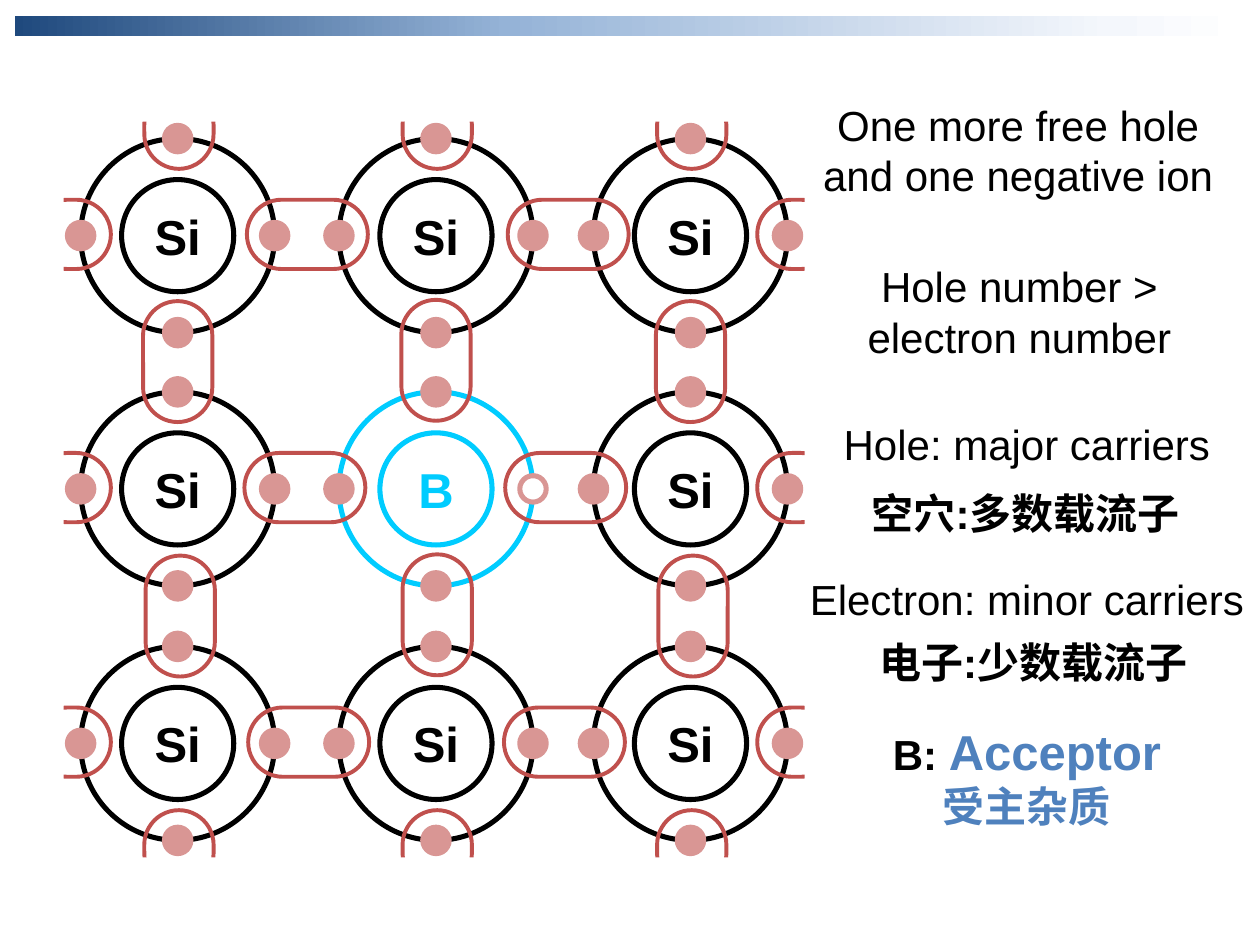
from copy import deepcopy

from pptx import Presentation
from pptx.dml.color import RGBColor
from pptx.enum.shapes import MSO_SHAPE
from pptx.enum.text import MSO_ANCHOR, MSO_AUTO_SIZE, PP_ALIGN
from pptx.oxml.ns import qn
from pptx.util import Inches, Pt

OVAL = MSO_SHAPE.OVAL
PILL = MSO_SHAPE.ROUNDED_RECTANGLE
RECT = MSO_SHAPE.RECTANGLE
CENTER = PP_ALIGN.CENTER
MIDDLE = MSO_ANCHOR.MIDDLE
GROW = MSO_AUTO_SIZE.SHAPE_TO_FIT_TEXT

BLACK = RGBColor(0x00, 0x00, 0x00)
WHITE = RGBColor(0xFF, 0xFF, 0xFF)
CYAN = RGBColor(0x00, 0xCC, 0xFF)
PINK = RGBColor(0xD9, 0x96, 0x94)
RED = RGBColor(0xC0, 0x50, 0x4D)
BLUE = RGBColor(0x4F, 0x81, 0xBD)
BAR_STOPS = [
    (0, RGBColor(0x1F, 0x49, 0x7D)),
    (0.4, RGBColor(0x95, 0xB3, 0xD7)),
    (0.89, RGBColor(0xF4, 0xF7, 0xFC)),
    (1, WHITE),
]

COLUMNS = (1.41, 3.46, 5.48)
ROWS = (1.87, 3.88, 5.9)
SHELL, CORE, ELECTRON = 1.54, 0.89, 0.21
BOND_LENGTH, STUB_LENGTH, BOND_WIDTH = 0.96, 0.62, 0.55
MASK_LENGTH, MASK_WIDTH = 0.55, 0.64
STUB_REACH, MASK_REACH = 0.84, 1.18
TOP, LEFT, BOTTOM, RIGHT = (0, -1), (-1, 0), (0, 1), (1, 0)

ACROSS_BONDS = [(2.44, 4.51), (2.42, 4.49), (2.45, 4.48)]
DOWN_BONDS = [
    ((1.41, 2.87), (3.46, 2.86), (5.48, 2.87)),
    ((1.43, 4.89), (3.47, 4.88), (5.5, 4.89)),
]

NOTES = [
    (6.24, 0.74, 3.68, 0.91, False, "One more free hole and one negative ion"),
    (6.47, 2.02, 3.24, 0.91, False, "Hole number > electron number"),
    (6.25, 3.27, 3.8, 0.5, False, "Hole: major carriers"),
    (6.52, 3.82, 3.24, 0.5, True, "空穴:多数载流子"),
    (6.25, 4.5, 3.8, 0.5, False, "Electron: minor carriers"),
    (6.58, 5, 3.24, 0.5, True, "电子:少数载流子"),
]


def add_centered(shapes, kind, x, y, width, height, fill=None, line=None, weight=2.88):
    part = shapes.add_shape(
        kind, Inches(x - width / 2), Inches(y - height / 2), Inches(width), Inches(height)
    )
    part.shadow.inherit = False
    if fill is None:
        part.fill.background()
    else:
        part.fill.solid()
        part.fill.fore_color.rgb = fill
    if line is None:
        part.line.fill.background()
    else:
        part.line.color.rgb = line
        part.line.width = Pt(weight)
    return part


def add_atom(shapes, x, y, symbol, color, hole_side=None):
    add_centered(shapes, OVAL, x, y, SHELL, SHELL, line=color)
    core = add_centered(shapes, OVAL, x, y, CORE, CORE, line=color)
    frame = core.text_frame
    frame.word_wrap = False
    frame.vertical_anchor = MIDDLE
    label = frame.paragraphs[0]
    label.text = symbol
    label.alignment = CENTER
    style_font(label.font, 28, color, True)
    for side in (TOP, LEFT, BOTTOM, RIGHT):
        fill = WHITE if side == hole_side else PINK
        add_centered(
            shapes, OVAL, x + side[0] * SHELL / 2, y + side[1] * SHELL / 2,
            ELECTRON, ELECTRON, fill, PINK,
        )


def add_bond(shapes, x, y, length, rotation=0):
    bond = add_centered(shapes, PILL, x, y, length, BOND_WIDTH, line=RED, weight=2.25)
    bond.adjustments[0] = 0.5
    bond.rotation = rotation


def add_open_bond(shapes, x, y, side):
    dx, dy = side
    rotation = 90 if dy else 0
    add_bond(shapes, x + dx * STUB_REACH, y + dy * STUB_REACH, STUB_LENGTH, rotation)
    mask = add_centered(
        shapes, RECT, x + dx * MASK_REACH, y + dy * MASK_REACH,
        MASK_LENGTH, MASK_WIDTH, WHITE,
    )
    mask.rotation = rotation


def add_lattice(slide):
    atoms = slide.shapes.add_group_shape().shapes
    for row, y in enumerate(ROWS):
        for column, x in enumerate(COLUMNS):
            if row == column == 1:
                add_atom(atoms, x, y, "B", CYAN, RIGHT)
            else:
                add_atom(atoms, x, y, "Si", BLACK)

    bonds = slide.shapes.add_group_shape().shapes
    for y, centers in zip(ROWS, ACROSS_BONDS):
        for x in centers:
            add_bond(bonds, x, y - 0.01, BOND_LENGTH)
    for centers in DOWN_BONDS:
        for x, y in centers:
            add_bond(bonds, x, y, BOND_LENGTH, 90)
    for y in ROWS:
        add_open_bond(bonds, COLUMNS[0], y - 0.01, LEFT)
        add_open_bond(bonds, COLUMNS[-1], y - 0.01, RIGHT)
    for x in COLUMNS:
        add_open_bond(bonds, x + 0.01, ROWS[0], TOP)
        add_open_bond(bonds, x + 0.01, ROWS[-1], BOTTOM)


def add_title_bar(slide, left, top, width, height):
    bar = slide.shapes.add_shape(RECT, Inches(left), Inches(top), Inches(width), Inches(height))
    bar.shadow.inherit = False
    bar.line.fill.background()
    bar.fill.gradient()
    bar.fill.gradient_angle = 0
    stop_list = bar._element.spPr.find(".//" + qn("a:gsLst"))
    for _ in range(len(BAR_STOPS) - len(stop_list)):
        stop_list.append(deepcopy(stop_list[0]))
    for stop, (position, color) in zip(bar.fill.gradient_stops, BAR_STOPS):
        stop.position = position
        stop.color.rgb = color


def style_font(font, size, color, bold):
    font.name = "Arial"
    font.size = Pt(size)
    font.color.rgb = color
    font.bold = bold


def add_note_paragraph(slide, left, top, width, height):
    note = slide.shapes.add_textbox(Inches(left), Inches(top), Inches(width), Inches(height))
    note.text_frame.word_wrap = True
    note.text_frame.auto_size = GROW
    paragraph = note.text_frame.paragraphs[0]
    paragraph.alignment = CENTER
    return paragraph


def add_notes(slide):
    for left, top, width, height, bold, text in NOTES:
        paragraph = add_note_paragraph(slide, left, top, width, height)
        paragraph.text = text
        style_font(paragraph.font, 24, BLACK, bold)


def add_acceptor_note(slide, left, top, width, height):
    paragraph = add_note_paragraph(slide, left, top, width, height)
    for text, size, color in (("B: ", 24, BLACK), ("Acceptor", 28, BLUE), ("受主杂质", 24, BLUE)):
        run = paragraph.add_run()
        run.text = text
        style_font(run.font, size, color, True)


def main():
    presentation = Presentation()
    presentation.slide_width = Inches(10)
    presentation.slide_height = Inches(7.5)
    slide = presentation.slides.add_slide(presentation.slide_layouts[6])
    add_lattice(slide)
    add_title_bar(slide, 0.12, 0.13, 9.76, 0.16)
    add_notes(slide)
    add_acceptor_note(slide, 6.87, 5.68, 2.56, 0.98)
    presentation.save("out.pptx")


if __name__ == "__main__":
    main()
